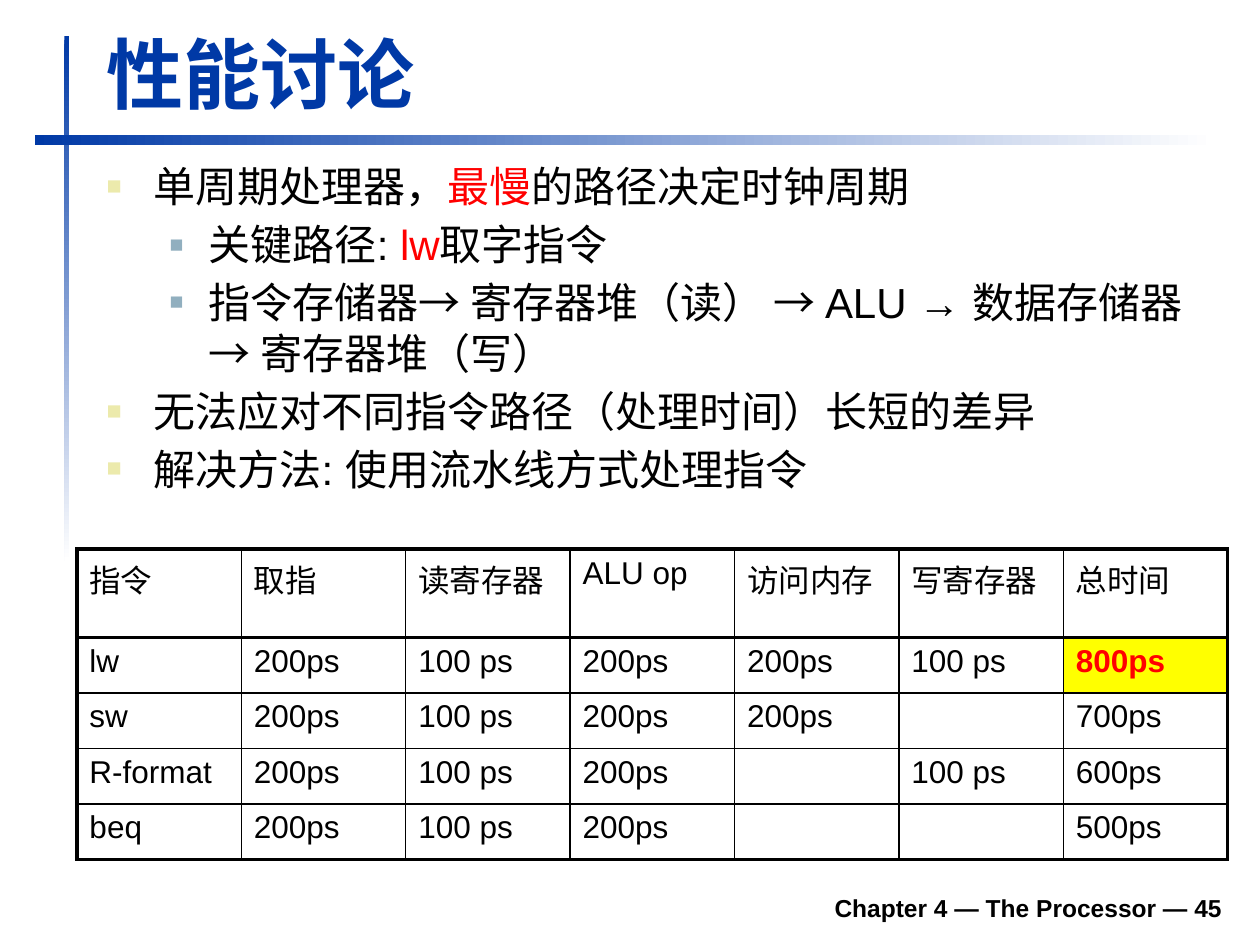
from lxml.etree import SubElement
from pptx import Presentation
from pptx.dml.color import RGBColor
from pptx.enum.shapes import MSO_SHAPE
from pptx.enum.text import MSO_ANCHOR as ANCHOR, PP_ALIGN as ALIGN
from pptx.oxml.ns import qn
from pptx.util import Cm, Pt

COLORS = {
    "black": "000000", "white": "FFFFFF", "blue": "0039A6", "red": "FF0000",
    "yellow": "FFFF00", "cream": "ECEAAC", "steel": "91AFBF",
}


def color(name):
    return RGBColor.from_string(COLORS[name])


def write(paragraph, text, size=24, ink="black", bold=False, align=None):
    run = paragraph.add_run()
    run.text = text
    run.font.name = "Arial"
    run.font.size = Pt(size)
    run.font.bold = bold
    run.font.color.rgb = color(ink)
    if align is not None:
        paragraph.alignment = align


presentation = Presentation()
presentation.slide_width, presentation.slide_height = Cm(25.4), Cm(19.05)
slide = presentation.slides.add_slide(presentation.slide_layouts[6])

# Fading rules: left, top, width, height, gradient angle
for *box, angle in [(1.3, 0.72, 0.09, 10.6, 270), (0.7, 2.73, 23.8, 0.2, 0)]:
    rule = slide.shapes.add_shape(MSO_SHAPE.RECTANGLE, *map(Cm, box))
    rule.shadow.inherit = False
    rule.line.fill.background()
    rule.fill.gradient()
    rule.fill.gradient_angle = angle
    for stop, name, position in zip(rule.fill.gradient_stops, ("blue", "white"), (0, 1)):
        stop.color.rgb = color(name)
        stop.position = position

# Footer, title and body frames
frames = []
for box, anchor in [
    ((4.7, 17.73, 20.19, 0.99), ANCHOR.BOTTOM),
    ((1.9, 0.41, 22.94, 2.11), ANCHOR.BOTTOM),
    ((1.9, 3.12, 22.99, 14.2), ANCHOR.TOP),
]:
    frame = slide.shapes.add_textbox(*map(Cm, box)).text_frame
    frame.word_wrap = True
    frame.vertical_anchor = anchor
    frames.append(frame)
footer, title, body = frames
write(footer.paragraphs[0], "Chapter 4 — The Processor — 45", size=14, bold=True, align=ALIGN.RIGHT)
write(title.paragraphs[0], "性能讨论", size=44, ink="blue", bold=True)

# Body: level and runs of each bullet
bullets = [
    (0, [("单周期处理器，", "black"), ("最慢", "red"), ("的路径决定时钟周期", "black")]),
    (1, [("关键路径: ", "black"), ("lw", "red"), ("取字指令", "black")]),
    (1, [("指令存储器→ 寄存器堆（读） → ALU → 数据存储器 → 寄存器堆（写）", "black")]),
    (0, [("无法应对不同指令路径（处理时间）长短的差异", "black")]),
    (0, [("解决方法: 使用流水线方式处理指令", "black")]),
]
# Left margin, hanging indent, bullet colour and bullet size of each level
levels = [(0.95, 0.95, "cream", 60), (2.06, 0.79, "steel", 55)]
for index, (level, runs) in enumerate(bullets):
    paragraph = body.add_paragraph() if index else body.paragraphs[0]
    paragraph.level = level
    margin, hanging, bullet_color, percent = levels[level]
    properties = paragraph._p.get_or_add_pPr()
    properties.set("marL", str(Cm(margin)))
    properties.set("indent", str(-Cm(hanging)))
    bullet_ink = SubElement(properties, qn("a:buClr"))
    SubElement(bullet_ink, qn("a:srgbClr"), val=COLORS[bullet_color])
    SubElement(properties, qn("a:buSzPct"), val=str(percent * 1000))
    SubElement(properties, qn("a:buFont"), typeface="Arial")
    SubElement(properties, qn("a:buChar"), char="■")
    if index:
        paragraph.space_before = Pt(4.3)
    for text, ink in runs:
        write(paragraph, text, ink=ink)

# Instruction timing table
rows = [
    ["指令", "取指", "读寄存器", "ALU op", "访问内存", "写寄存器", "总时间"],
    ["lw", "200ps", "100 ps", "200ps", "200ps", "100 ps", "800ps"],
    ["sw", "200ps", "100 ps", "200ps", "200ps", "", "700ps"],
    ["R-format", "200ps", "100 ps", "200ps", "", "100 ps", "600ps"],
    ["beq", "200ps", "100 ps", "200ps", "", "", "500ps"],
]
last_row, last_column = len(rows) - 1, len(rows[0]) - 1
table = slide.shapes.add_table(
    len(rows), len(rows[0]), Cm(1.55), Cm(11.07), Cm(23.2), Cm(6.26)
).table
table.first_row = table.horz_banding = False
for column in table.columns:
    column.width = Cm(23.2 / len(rows[0]))
for r, texts in enumerate(rows):
    table.rows[r].height = Cm(1.12 if r else 1.78)
    for c, text in enumerate(texts):
        cell = table.cell(r, c)
        borders = {
            "L": 2.25 if c == 0 else 1,
            "R": 2.25 if c == last_column else 1,
            "T": {0: 2.25, 1: 1.5}.get(r, 1),
            "B": {0: 1.5, last_row: 2.25}.get(r, 1),
        }
        for side, width in borders.items():
            line = SubElement(cell._tc.get_or_add_tcPr(), qn(f"a:ln{side}"), w=str(Pt(width)))
            line_fill = SubElement(line, qn("a:solidFill"))
            SubElement(line_fill, qn("a:srgbClr"), val=COLORS["black"])
        slowest = text == "800ps"
        if slowest:
            cell.fill.solid()
            cell.fill.fore_color.rgb = color("yellow")
        else:
            cell.fill.background()
        if text:
            write(cell.text_frame.paragraphs[0], text, size=18,
                  ink="red" if slowest else "black", bold=slowest)

presentation.save("out.pptx")
